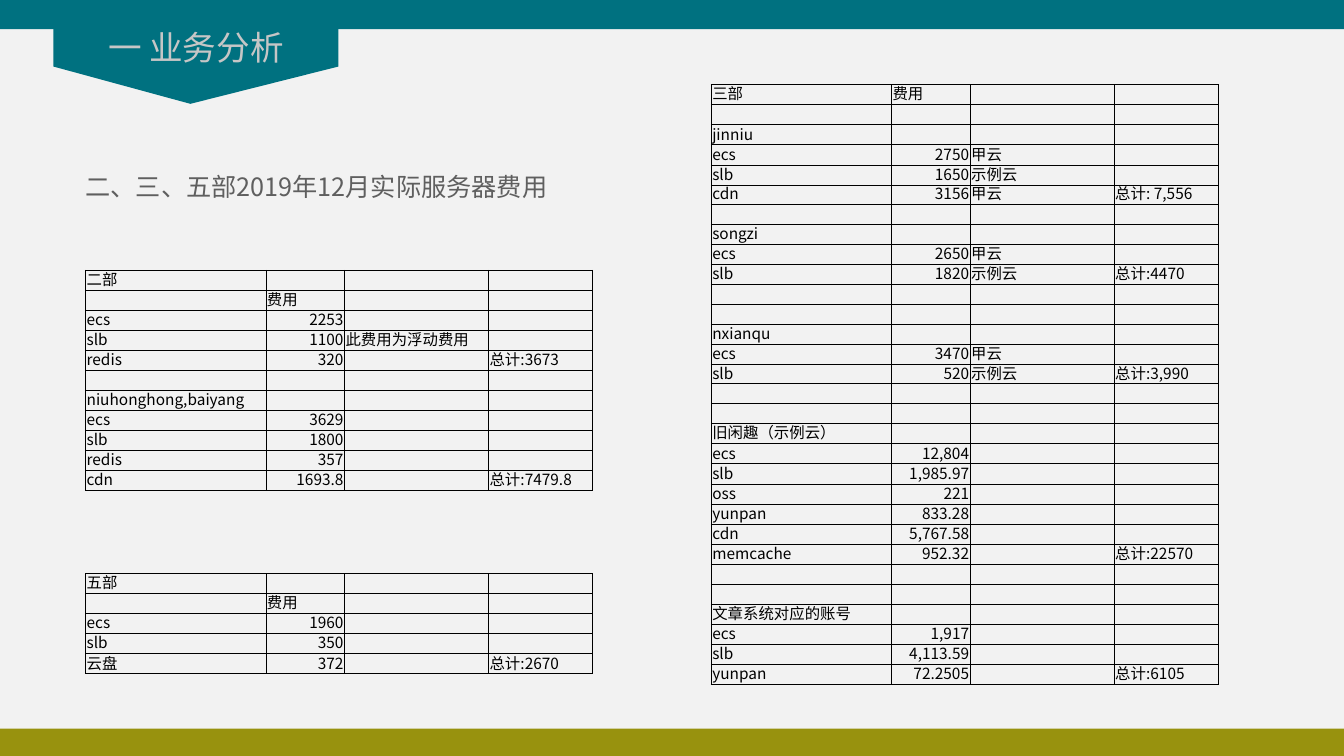
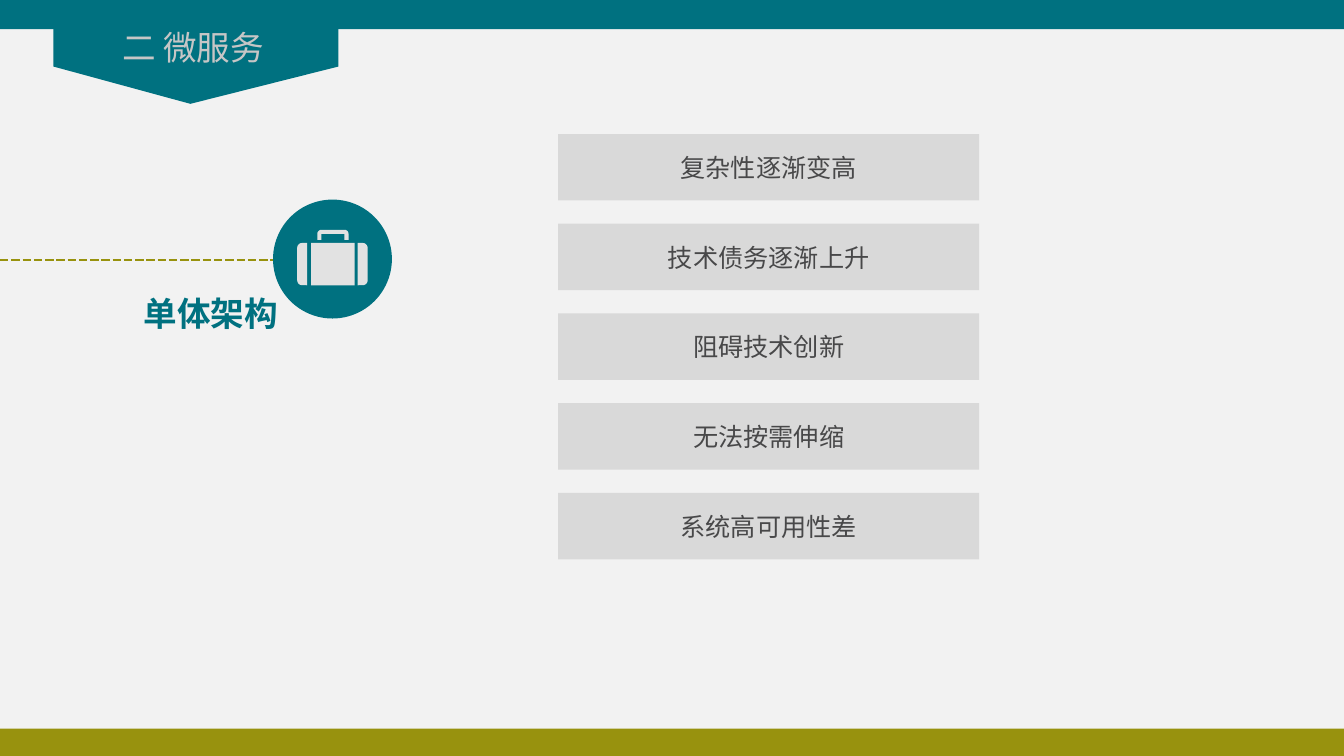
import math
from dataclasses import dataclass

from lxml import etree
from pptx import Presentation
from pptx.dml.color import RGBColor
from pptx.enum.dml import MSO_LINE
from pptx.enum.shapes import MSO_CONNECTOR, MSO_SHAPE
from pptx.enum.text import MSO_ANCHOR, MSO_AUTO_SIZE, PP_ALIGN
from pptx.oxml.ns import qn
from pptx.util import Inches, Pt

RECTANGLE, OVAL = MSO_SHAPE.RECTANGLE, MSO_SHAPE.OVAL
STRAIGHT, DASHED = MSO_CONNECTOR.STRAIGHT, MSO_LINE.SQUARE_DOT
LEFT, CENTER, RIGHT = PP_ALIGN.LEFT, PP_ALIGN.CENTER, PP_ALIGN.RIGHT
TOP, MIDDLE = MSO_ANCHOR.TOP, MSO_ANCHOR.MIDDLE
NO_AUTOFIT = MSO_AUTO_SIZE.NONE
TITLE_ONLY = 5


@dataclass(frozen=True)
class Theme:
    font: str = "Noto Sans CJK SC"
    page: str = "F2F2F2"
    teal: str = "007180"
    olive: str = "98920E"
    title: str = "C6C6C6"
    heading: str = "5F5F5F"
    box: str = "D9D9D9"
    box_text: str = "484849"
    icon: str = "E2E2E2"
    grid: str = "000000"
    title_size: int = 24
    body_size: int = 18
    table_size: int = 11
    table_leading: int = 13
    grid_width: float = 0.5


THEME = Theme()
SLIDE_WIDTH, SLIDE_HEIGHT = 13.34, 7.5
BAND_HEIGHT = 0.29
FOOTER_TOP = 7.23
COLUMN_WIDTHS = (1.79, 0.78, 1.43, 1.03)

DEPARTMENT_TWO = (
    ("二部",),
    ("", "费用"),
    ("ecs", "2253"),
    ("slb", "1100", "此费用为浮动费用"),
    ("redis", "320", "", "总计:3673"),
    (),
    ("niuhonghong,baiyang",),
    ("ecs", "3629"),
    ("slb", "1800"),
    ("redis", "357"),
    ("cdn", "1693.8", "", "总计:7479.8"),
)
DEPARTMENT_THREE = (
    ("三部", "费用"),
    (),
    ("jinniu",),
    ("ecs", "2750", "甲云"),
    ("slb", "1650", "示例云"),
    ("cdn", "3156", "甲云", "总计: 7,556"),
    (),
    ("songzi",),
    ("ecs", "2650", "甲云"),
    ("slb", "1820", "示例云", "总计:4470"),
    (),
    (),
    ("nxianqu",),
    ("ecs", "3470", "甲云"),
    ("slb", "520", "示例云", "总计:3,990"),
    (),
    (),
    ("旧闲趣（示例云）",),
    ("ecs", "12,804"),
    ("slb", "1,985.97"),
    ("oss", "221"),
    ("yunpan", "833.28"),
    ("cdn", "5,767.58"),
    ("memcache", "952.32", "", "总计:22570"),
    (),
    (),
    ("文章系统对应的账号",),
    ("ecs", "1,917"),
    ("slb", "4,113.59"),
    ("yunpan", "72.2505", "", "总计:6105"),
)
DEPARTMENT_FIVE = (
    ("五部",),
    ("", "费用"),
    ("ecs", "1960"),
    ("slb", "350"),
    ("云盘", "372", "", "总计:2670"),
)
MONOLITH_PROBLEMS = (
    "复杂性逐渐变高", "技术债务逐渐上升", "阻碍技术创新", "无法按需伸缩", "系统高可用性差",
)


def color(value):
    return RGBColor.from_string(value)


def inches(*lengths):
    return [Inches(length) for length in lengths]


def add_run(para, text, size, text_color, bold=False):
    run = para.add_run()
    run.text = text
    run.font.size = Pt(size)
    run.font.bold = bold
    run.font.color.rgb = color(text_color)
    run.font.name = THEME.font
    latin = run.font._element.find(qn("a:latin"))
    east_asian = etree.Element(qn("a:ea"), typeface=THEME.font)
    latin.addnext(east_asian)


def write(frame, text, size, text_color, align=LEFT, anchor=TOP, bold=False):
    """Fill a text frame with one paragraph and return that paragraph."""
    frame.word_wrap = True
    frame.auto_size = NO_AUTOFIT
    frame.vertical_anchor = anchor
    para = frame.paragraphs[0]
    para.alignment = align
    add_run(para, text, size, text_color, bold)
    return para


def paint(shape, fill):
    shape.shadow.inherit = False
    shape.fill.solid()
    shape.fill.fore_color.rgb = color(fill)
    shape.line.fill.background()


def add_block(slide, kind, bounds, fill):
    shape = slide.shapes.add_shape(kind, *inches(*bounds))
    paint(shape, fill)
    return shape


def add_outline(slide, contours, fill):
    """Draw closed contours, given as inch points, as one freeform."""
    contours = [[inches(*point) for point in contour] for contour in contours]
    builder = slide.shapes.build_freeform(*contours[0][0])
    builder.add_line_segments(contours[0][1:])
    for start, *others in contours[1:]:
        builder.move_to(*start)
        builder.add_line_segments(others)
    paint(builder.convert_to_shape(), fill)


def add_text(slide, bounds, *content, **style):
    box = slide.shapes.add_textbox(*inches(*bounds))
    return box.text_frame, write(box.text_frame, *content, **style)


def add_page(deck, title_text, title_left):
    """Add a slide with the shared bands, ribbon and title."""
    slide = deck.slides.add_slide(deck.slide_layouts[TITLE_ONLY])
    ribbon = ((0.53, 0.25), (3.36, 0.25), (3.36, 0.66), (1.89, 1.03), (0.53, 0.66))
    add_outline(slide, [ribbon], THEME.teal)
    add_block(slide, RECTANGLE, (0, 0, SLIDE_WIDTH, BAND_HEIGHT), THEME.teal)
    add_block(slide, RECTANGLE,
              (0, FOOTER_TOP, SLIDE_WIDTH, SLIDE_HEIGHT - FOOTER_TOP), THEME.olive)
    title = slide.shapes.title
    title.left, title.top, title.width, title.height = inches(title_left, 0.22, 2.95, 0.5)
    write(title.text_frame, title_text, THEME.title_size, THEME.title, CENTER, MIDDLE)
    tree = title._element.getparent()
    tree.append(title._element)  # in front of the ribbon
    return slide


def add_cell_borders(cell):
    properties = cell._tc.get_or_add_tcPr()
    for position, side in enumerate(("lnL", "lnR", "lnT", "lnB")):
        line = etree.Element(qn(f"a:{side}"), w=str(Pt(THEME.grid_width)))
        fill = etree.SubElement(line, qn("a:solidFill"))
        etree.SubElement(fill, qn("a:srgbClr"), val=THEME.grid)
        properties.insert(position, line)


def fill_cell(cell, text):
    cell.fill.background()
    add_cell_borders(cell)
    cell.vertical_anchor = MIDDLE
    cell.margin_left = cell.margin_right = cell.margin_top = Inches(0.01)
    cell.margin_bottom = 0
    para = cell.text_frame.paragraphs[0]
    para.line_spacing = Pt(THEME.table_leading)
    if text:
        para.alignment = RIGHT if text[0].isdigit() else LEFT
        add_run(para, text, THEME.table_size, THEME.grid)
    else:
        etree.SubElement(para._p, qn("a:endParaRPr"), sz=str(THEME.table_size * 100))


def add_cost_table(slide, left, top, height, rows):
    frame = slide.shapes.add_table(len(rows), len(COLUMN_WIDTHS),
                                   *inches(left, top, sum(COLUMN_WIDTHS), height))
    table = frame.table
    table.first_row = table.horz_banding = False
    for column, width in zip(table.columns, COLUMN_WIDTHS):
        column.width = Inches(width)
    for row, texts in zip(table.rows, rows):
        row.height = Inches(height / len(rows))
        for index, cell in enumerate(row.cells):
            fill_cell(cell, texts[index] if index < len(texts) else "")


def arc(center_x, center_y, radius, start, steps=5):
    """Points of a clockwise quarter circle from a start angle in degrees."""
    angles = [math.radians(start + 90 * step / steps) for step in range(steps + 1)]
    return [(center_x + radius * math.cos(angle), center_y + radius * math.sin(angle))
            for angle in angles]


def add_suitcase(slide):
    handle = [(3.15, 2.38), *arc(3.19, 2.32, 0.04, 180), *arc(3.42, 2.32, 0.04, 270),
              (3.46, 2.38), (3.42, 2.38), (3.42, 2.32), (3.19, 2.32), (3.19, 2.38)]
    left_end = [(3.05, 2.83), *arc(3, 2.78, 0.05, 90), *arc(3, 2.46, 0.05, 180),
                (3.05, 2.41)]
    right_end = [(6.6 - x, y) for x, y in left_end]
    body = [(3.09, 2.41), (3.52, 2.41), (3.52, 2.83), (3.09, 2.83)]
    add_outline(slide, [handle, left_end, body, right_end], THEME.icon)


def add_dashed_line(slide, start, end):
    line = slide.shapes.add_connector(STRAIGHT, *inches(*start, *end))
    line.line.color.rgb = color(THEME.olive)
    line.line.width = Pt(2)
    line.line.dash_style = DASHED
    etree.SubElement(line._element.spPr, qn("a:effectLst"))


def build_costs(deck):
    slide = add_page(deck, "一 业务分析", 0.47)
    add_cost_table(slide, 0.85, 2.68, 2.13, DEPARTMENT_TWO)
    add_cost_table(slide, 7.06, 0.84, 5.81, DEPARTMENT_THREE)
    add_cost_table(slide, 0.85, 5.69, 0.97, DEPARTMENT_FIVE)
    frame, heading = add_text(slide, (0.85, 1.55, 4.8, 0.55),
                              "二、三、五部2019年12月实际服务器费用",
                              THEME.body_size, THEME.heading)
    frame.margin_left = frame.margin_right = frame.margin_top = frame.margin_bottom = 0
    heading.line_spacing = 1.5


def build_microservices(deck):
    slide = add_page(deck, "二 微服务", 0.44)
    add_dashed_line(slide, (0, 2.58), (2.73, 2.58))
    add_block(slide, OVAL, (2.71, 1.98, 1.18, 1.18), THEME.teal)
    add_suitcase(slide)
    add_text(slide, (0.7, 2.86, 2.16, 1.52), "单体架构",
             THEME.title_size, THEME.teal, align=RIGHT, bold=True)
    for index, problem in enumerate(MONOLITH_PROBLEMS):
        box = add_block(slide, RECTANGLE, (5.54, 1.33 + 0.89 * index, 4.18, 0.66), THEME.box)
        write(box.text_frame, problem, THEME.body_size, THEME.box_text, CENTER, MIDDLE)


def main():
    deck = Presentation()
    deck.slide_width, deck.slide_height = inches(SLIDE_WIDTH, SLIDE_HEIGHT)
    background = deck.slide_master.background.fill
    background.solid()
    background.fore_color.rgb = color(THEME.page)
    build_costs(deck)
    build_microservices(deck)
    deck.save("out.pptx")


if __name__ == "__main__":
    main()
